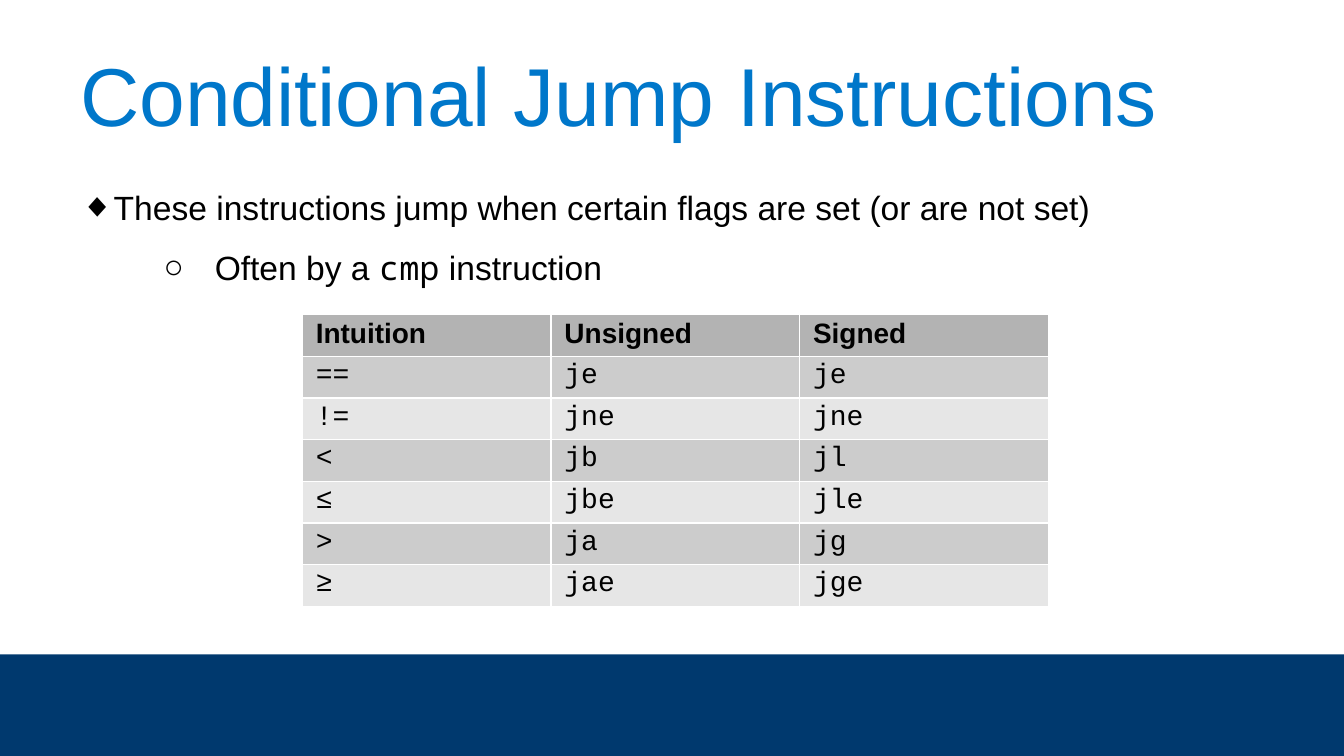
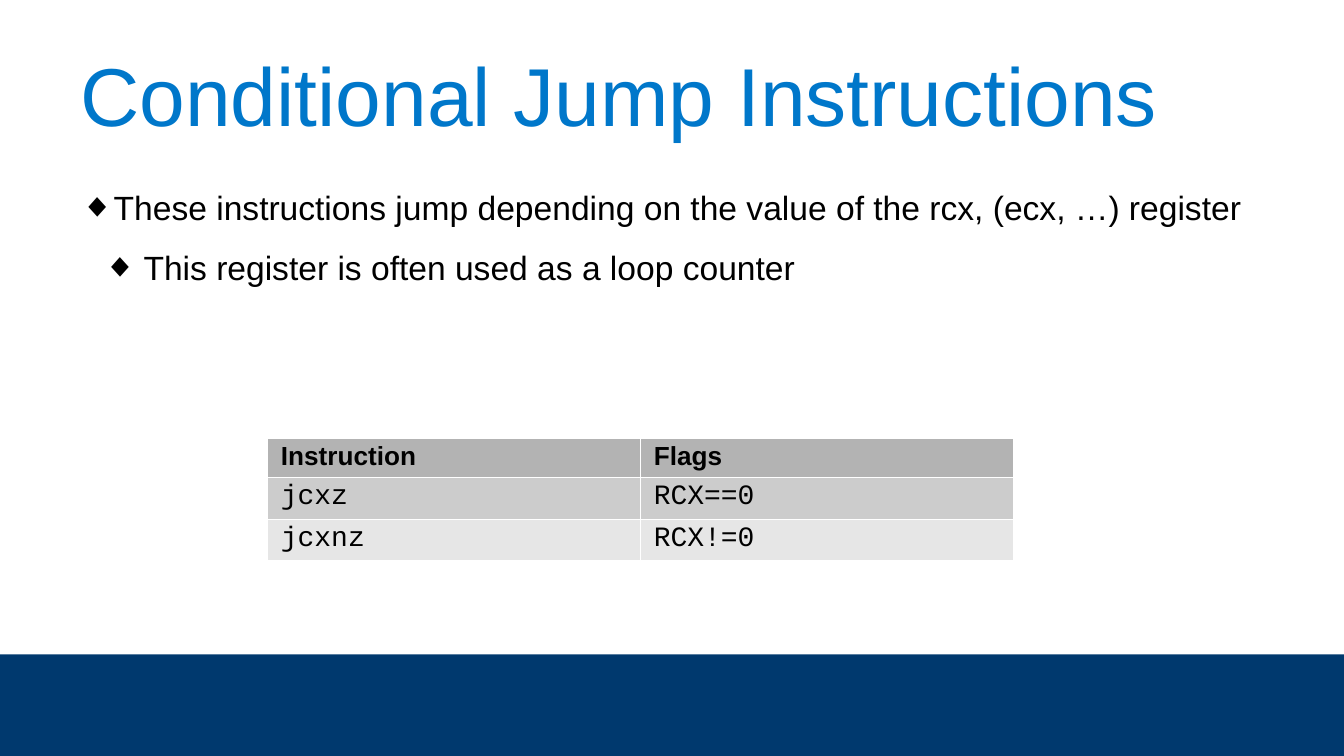
from lxml import etree
from pptx import Presentation
from pptx import util as u
from pptx.dml.color import RGBColor
from pptx.enum import shapes, text
from pptx.oxml import ns

WIDTH = 10
HEIGHT = WIDTH * 9 / 16
BAND_TOP = 4.87
WHITE = RGBColor(0xFF, 0xFF, 0xFF)
BLACK = RGBColor(0x00, 0x00, 0x00)
NAVY = RGBColor(0x00, 0x39, 0x6E)
BLUE = RGBColor(0x00, 0x77, 0xCA)
HEADER_GRAY = RGBColor(0xB3, 0xB3, 0xB3)
ROW_GRAYS = (RGBColor(0xCC, 0xCC, 0xCC), RGBColor(0xE6, 0xE6, 0xE6))
BODY_FONT, CODE_FONT, INLINE_CODE_FONT = "Arial", "Courier New", "Noto Sans Mono"

TITLE = "Conditional Jump Instructions"
SLIDES = [
    {
        "bullets": [
            {"mark": "◆", "margin": 0.24, "indent": -0.27, "runs": [
                ("These instructions jump when certain flags are set (or are not set)", BODY_FONT)]},
            {"mark": "○", "margin": 1, "indent": -0.38, "runs": [
                ("Often by a ", BODY_FONT), ("cmp", INLINE_CODE_FONT), (" instruction", BODY_FONT)]},
        ],
        "table": {
            "left": 2.25, "top": 2.34, "header_size": 15, "header_height": 0.3,
            "rows": [
                ("Intuition", "Unsigned", "Signed"),
                ("==", "je", "je"),
                ("!=", "jne", "jne"),
                ("<", "jb", "jl"),
                ("≤", "jbe", "jle"),
                (">", "ja", "jg"),
                ("≥", "jae", "jge"),
            ],
        },
    },
    {
        "bullets": [
            {"mark": "◆", "margin": 0.24, "indent": -0.27, "runs": [
                ("These instructions jump depending on the value of the rcx, (ecx, …) register", BODY_FONT)]},
            {"mark": "◆", "margin": 0.47, "indent": -0.3, "runs": [
                ("This register is often used as a loop counter", BODY_FONT)]},
        ],
        "table": {
            "left": 1.99, "top": 3.26, "header_size": 14, "header_height": 0.28,
            "rows": [
                ("Instruction", "Flags"),
                ("jcxz", "RCX==0"),
                ("jcxnz", "RCX!=0"),
            ],
        },
    },
]
TABLE_WIDTH, ROW_HEIGHT, CODE_SIZE = 5.55, 0.31, 15


def add_run(paragraph, words, font, size, color=BLACK, bold=False):
    run = paragraph.add_run()
    run.text = words
    run.font.name = font
    run.font.size = u.Pt(size)
    run.font.bold = bold
    run.font.color.rgb = color


def add_text_frame(slide, top, height):
    box = slide.shapes.add_textbox(u.Inches(0.5), u.Inches(top), u.Inches(9), u.Inches(height))
    box.text_frame.word_wrap = True
    return box.text_frame


def add_color(parent, color):
    etree.SubElement(parent, ns.qn("a:srgbClr"), val=str(color))


def add_band(slide):
    band = slide.shapes.add_shape(shapes.MSO_SHAPE.RECTANGLE, 0, u.Inches(BAND_TOP),
                                  u.Inches(WIDTH), u.Inches(HEIGHT - BAND_TOP))
    band.shadow.inherit = False
    band.fill.solid()
    band.fill.fore_color.rgb = NAVY
    band.line.fill.background()


def add_title(slide):
    frame = add_text_frame(slide, 0.23, 0.94)
    frame.vertical_anchor = text.MSO_ANCHOR.MIDDLE
    add_run(frame.paragraphs[0], TITLE, BODY_FONT, 44, BLUE)


def add_bullets(slide, bullets):
    frame = add_text_frame(slide, 1.19, 3.84)
    for level, bullet in enumerate(bullets):
        paragraph = frame.add_paragraph() if level else frame.paragraphs[0]
        paragraph.level = level
        paragraph.line_spacing = 1.5
        properties = paragraph._p.get_or_add_pPr()
        properties.set("marL", str(u.Inches(bullet["margin"])))
        properties.set("indent", str(u.Inches(bullet["indent"])))
        add_color(etree.SubElement(properties, ns.qn("a:buClr")), BLACK)
        etree.SubElement(properties, ns.qn("a:buFont"), typeface=BODY_FONT)
        etree.SubElement(properties, ns.qn("a:buChar"), char=bullet["mark"])
        for words, font in bullet["runs"]:
            add_run(paragraph, words, font, 18)


def style_cell(cell, color):
    properties = cell._tc.get_or_add_tcPr()
    for side in ("L", "R", "T", "B"):
        border = etree.SubElement(properties, ns.qn(f"a:ln{side}"), w=str(u.Pt(0.75)))
        add_color(etree.SubElement(border, ns.qn("a:solidFill")), WHITE)
    cell.fill.solid()
    cell.fill.fore_color.rgb = color
    cell.margin_left = cell.margin_right = u.Inches(0.1)
    cell.margin_top = cell.margin_bottom = u.Inches(0.03)


def add_table(slide, left, top, header_size, header_height, rows):
    height = header_height + ROW_HEIGHT * (len(rows) - 1)
    table = slide.shapes.add_table(len(rows), len(rows[0]), u.Inches(left), u.Inches(top),
                                   u.Inches(TABLE_WIDTH), u.Inches(height)).table
    for row_index, row in enumerate(rows):
        is_header = row_index == 0
        table.rows[row_index].height = u.Inches(header_height if is_header else ROW_HEIGHT)
        color = HEADER_GRAY if is_header else ROW_GRAYS[(row_index - 1) % 2]
        font, size = (BODY_FONT, header_size) if is_header else (CODE_FONT, CODE_SIZE)
        for column_index, words in enumerate(row):
            cell = table.cell(row_index, column_index)
            style_cell(cell, color)
            add_run(cell.text_frame.paragraphs[0], words, font, size, bold=is_header)


def main():
    presentation = Presentation()
    presentation.slide_width = u.Inches(WIDTH)
    presentation.slide_height = u.Inches(HEIGHT)
    for content in SLIDES:
        slide = presentation.slides.add_slide(presentation.slide_layouts[6])
        add_band(slide)
        add_title(slide)
        add_bullets(slide, content["bullets"])
        add_table(slide, **content["table"])
    presentation.save("out.pptx")


if __name__ == "__main__":
    main()
